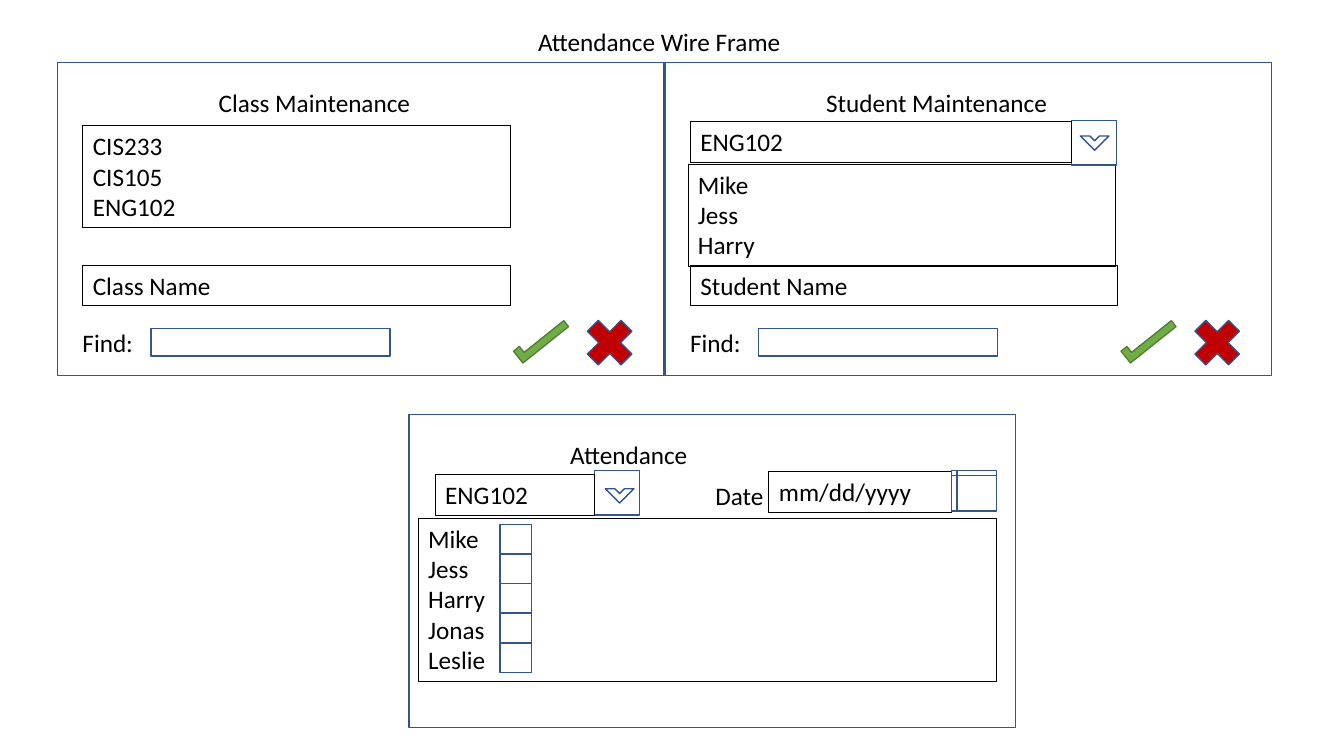
from dataclasses import dataclass

from pptx import Presentation
from pptx.dml.color import RGBColor
from pptx.enum import shapes, text
from pptx.util import Cm, Pt

SHAPE = shapes.MSO_SHAPE


@dataclass(frozen=True)
class Theme:
    font: str = "Calibri"
    size: float = 18
    ink: str = "000000"
    outline: str = "325491"
    accept: str = "70AD47"
    accept_edge: str = "538035"
    cancel: str = "C00000"
    thin: float = 0.75
    regular: float = 1


THEME = Theme()
PANEL_WIDTH, PANEL_HEIGHT = 15.29, 7.9
FIELD_HEIGHT = 1.02
ENTRY_WIDTH, LIST_HEIGHT = 10.77, 2.57
BUTTON_WIDTH, BUTTON_HEIGHT = 1.14, 1.12


class Area:
    """Draws on the slide with positions in cm from its own top left corner."""

    def __init__(self, slide, left=0, top=0):
        self.shapes, self.left, self.top = slide.shapes, left, top

    def place(self, left, top, width, height):
        return Cm(self.left + left), Cm(self.top + top), Cm(width), Cm(height)

    def outline(self, left, top, width, height, kind=SHAPE.RECTANGLE, fill=None,
                line=THEME.outline, weight=THEME.regular, rotation=0):
        figure = self.shapes.add_shape(kind, *self.place(left, top, width, height))
        figure.shadow.inherit = False
        figure.rotation = rotation
        if fill:
            figure.fill.solid()
            figure.fill.fore_color.rgb = RGBColor.from_string(fill)
        else:
            figure.fill.background()
        figure.line.color.rgb = RGBColor.from_string(line)
        figure.line.width = Pt(weight)
        return figure

    def label(self, wording, left, top, width):
        caption = self.shapes.add_textbox(*self.place(left, top, width, FIELD_HEIGHT))
        write(caption.text_frame, [wording])

    def field(self, lines, left, top, width, height=FIELD_HEIGHT):
        entry = self.outline(left, top, width, height,
                             line=THEME.ink, weight=THEME.thin)
        write(entry.text_frame, lines)


def write(frame, lines):
    frame.word_wrap = True
    frame.vertical_anchor = text.MSO_ANCHOR.TOP
    frame.text = "\n".join(lines)
    for paragraph in frame.paragraphs:
        paragraph.alignment = text.PP_ALIGN.LEFT
        paragraph.font.name = THEME.font
        paragraph.font.size = Pt(THEME.size)
        paragraph.font.color.rgb = RGBColor.from_string(THEME.ink)


def panel(slide, title, left, top):
    area = Area(slide, left, top)
    area.outline(0, 0, PANEL_WIDTH, PANEL_HEIGHT)
    area.label(title, 3.81, 0.51, 6.65)
    return area


def dropdown(area, choice, left, top, width, button_top, chevron):
    """Field with a button at its right; chevron is the offset inside the button."""
    button_left = left + width
    area.outline(button_left, button_top, BUTTON_WIDTH, BUTTON_HEIGHT)
    area.outline(button_left + chevron[0], button_top + chevron[1], 0.51, 0.51,
                 kind=SHAPE.HALF_FRAME, rotation=225)
    area.field([choice], left, top, width)


def check_mark(area, left, top):
    """L-shaped preset, which python-pptx has no name for, turned into a tick."""
    tick = area.outline(left, top, 1.47, 0.38, fill=THEME.accept,
                        line=THEME.accept_edge, rotation=321.4)
    tick.element.spPr.prstGeom.set("prst", "corner")


def entry_controls(area, prompt):
    """Name field, search field and the accept and cancel marks."""
    area.field([prompt], 0.64, 5.11, ENTRY_WIDTH)
    area.label("Find:", 0.38, 6.55, 3.63)
    area.outline(2.36, 6.71, 6.02, 0.69)
    area.outline(13.1, 6.25, 1.63, 1.63, kind=SHAPE.MATH_MULTIPLY, fill=THEME.cancel)
    check_mark(area, 11.45, 6.78)


def class_panel(slide):
    area = panel(slide, "Class Maintenance", 1.45, 1.57)
    area.field(["CIS233", "CIS105", "ENG102"], 0.64, 1.6, ENTRY_WIDTH, LIST_HEIGHT)
    entry_controls(area, "Class Name")


def student_panel(slide, students):
    area = panel(slide, "Student Maintenance", 16.76, 1.57)
    area.field(students, 0.58, 2.57, ENTRY_WIDTH, LIST_HEIGHT)
    entry_controls(area, "Student Name")
    dropdown(area, "ENG102", 0.64, 1.5, 9.6, 1.47, (0.33, 0.13))


def attendance_panel(slide, students):
    area = panel(slide, "Attendance", 10.31, 10.44)
    area.field(students, 0.23, 2.62, 14.58, 4.11)
    dropdown(area, "ENG102", 0.66, 1.52, 4.01, 1.42, (0.38, 0.2))
    area.label("Date", 7.47, 1.55, 2.13)
    area.field(["mm/dd/yyyy"], 9.07, 1.45, 4.6)
    area.outline(13.67, 1.42, BUTTON_WIDTH, FIELD_HEIGHT,
                 kind=SHAPE.FLOWCHART_INTERNAL_STORAGE)
    for row in range(len(students)):
        area.outline(2.29, 2.77 + row * 0.75, 0.79, 0.74)


def main():
    deck = Presentation()
    deck.slide_width, deck.slide_height = Cm(33.87), Cm(19.05)
    slide = deck.slides.add_slide(deck.slide_layouts[6])
    students = ["Mike", "Jess", "Harry", "Jonas", "Leslie"]

    Area(slide).label("Attendance Wire Frame", 13.31, 0.53, 14.33)
    class_panel(slide)
    student_panel(slide, students[:3])
    attendance_panel(slide, students)
    deck.save("out.pptx")


if __name__ == "__main__":
    main()
